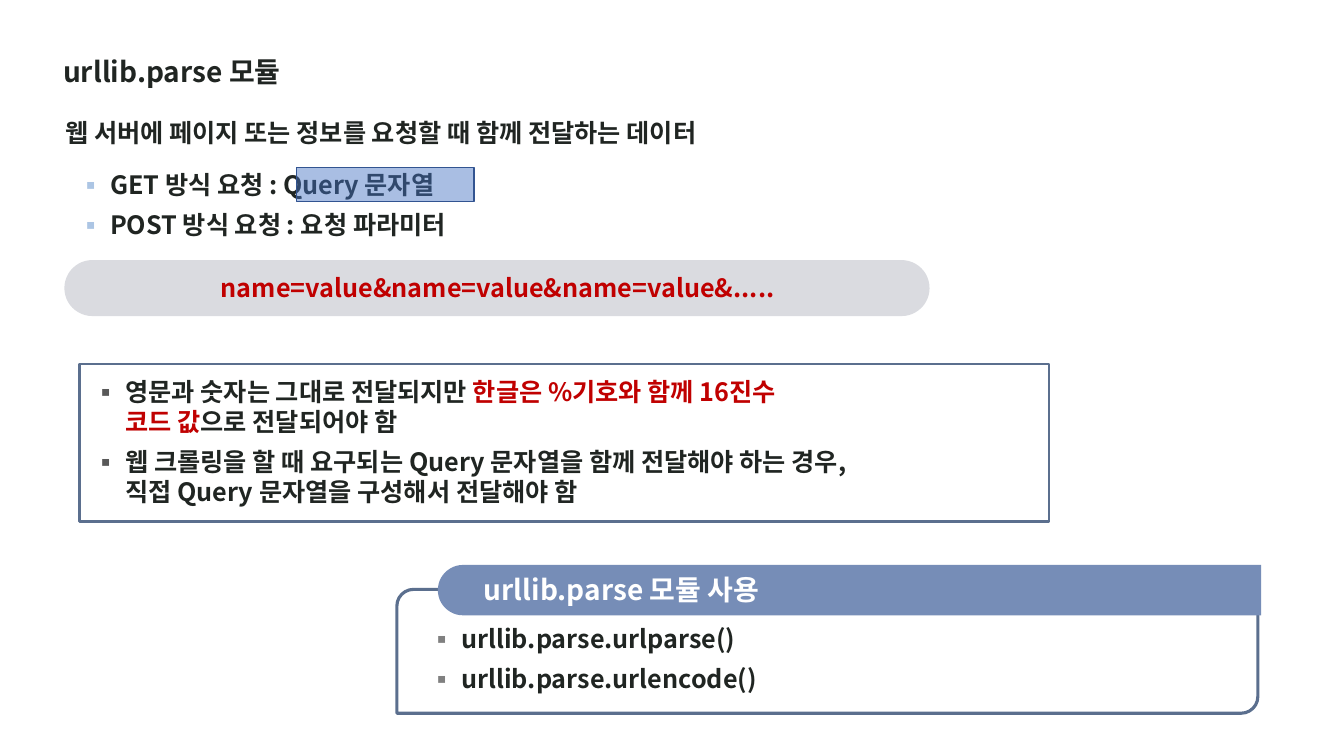
from dataclasses import dataclass

from lxml import etree
from pptx import Presentation
from pptx import util as u
from pptx.dml.color import RGBColor
from pptx.enum import shapes, text
from pptx.oxml import ns

FONT = "Noto Sans CJK KR"
INK, RED, WHITE, NAVY = "202522", "C00000", "FFFFFF", "5B6F8E"
Shape = shapes.MSO_SHAPE
Segment = tuple[str, str]


@dataclass
class Panel:
    kind: Shape
    left: float
    top: float
    width: float
    height: float
    fill: str
    line: str = ""
    weight: float = 0
    adjustments: tuple[float, ...] = ()
    rotation: float = 0
    opacity: int = 100


@dataclass
class Label:
    left: float
    top: float
    width: float
    height: float
    paragraphs: list[list[Segment]]
    size: float = 18
    bullet: str = ""
    align: text.PP_ALIGN = text.PP_ALIGN.LEFT


def color(value: str) -> RGBColor:
    return RGBColor.from_string(value)


def draw_panel(slide, panel: Panel) -> None:
    shape = slide.shapes.add_shape(panel.kind, u.Pt(panel.left), u.Pt(panel.top),
                                   u.Pt(panel.width), u.Pt(panel.height))
    shape.shadow.inherit = False
    shape.rotation = panel.rotation
    for index, value in enumerate(panel.adjustments):
        shape.adjustments[index] = value
    shape.fill.solid()
    shape.fill.fore_color.rgb = color(panel.fill)
    if panel.opacity < 100:
        fill = shape.element.spPr.find(ns.qn("a:solidFill"))
        etree.SubElement(fill[0], ns.qn("a:alpha"), val=str(panel.opacity * 1000))
    if panel.line:
        shape.line.color.rgb = color(panel.line)
        shape.line.width = u.Pt(panel.weight)
    else:
        shape.line.fill.background()


def add_bullet(paragraph, bullet_color: str) -> None:
    properties = paragraph._p.get_or_add_pPr()
    properties.set("marL", str(u.Pt(22.5)))
    properties.set("indent", str(u.Pt(-22.5)))
    holder = etree.SubElement(properties, ns.qn("a:buClr"))
    etree.SubElement(holder, ns.qn("a:srgbClr"), val=bullet_color)
    etree.SubElement(properties, ns.qn("a:buFont"), typeface=FONT)
    etree.SubElement(properties, ns.qn("a:buChar"), char="▪")


def set_font(paragraph, size: float, value: str) -> None:
    """Set the paragraph font for Latin and East Asian letters."""
    font = paragraph.font
    font.size, font.bold, font.name = u.Pt(size), True, FONT
    font.color.rgb = color(value)
    defaults = paragraph._p.pPr.find(ns.qn("a:defRPr"))
    etree.SubElement(defaults, ns.qn("a:ea"), typeface=FONT)


def draw_label(slide, label: Label) -> None:
    box = slide.shapes.add_textbox(u.Pt(label.left), u.Pt(label.top),
                                   u.Pt(label.width), u.Pt(label.height))
    frame = box.text_frame
    frame.word_wrap = True
    for index, segments in enumerate(label.paragraphs):
        paragraph = frame.add_paragraph() if index else frame.paragraphs[0]
        paragraph.alignment = label.align
        if index:
            paragraph.space_before = u.Pt(7)
        if label.bullet:
            add_bullet(paragraph, label.bullet)
        base = segments[0][1]
        set_font(paragraph, label.size, base)
        for words, value in segments:
            for line_number, line in enumerate(words.split("\n")):
                if line_number:
                    paragraph.add_line_break()
                run = paragraph.add_run()
                run.text = line
                if value != base:
                    run.font.color.rgb = color(value)


ITEMS: list[Panel | Label] = [
    Label(38, 35.5, 635, 31.5, [[("urllib.parse 모듈", INK)]], size=20),
    Label(39.5, 80.5, 598, 29,
          [[("웹 서버에 페이지 또는 정보를 요청할 때 함께 전달하는 데이터", INK)]]),
    Label(49, 117.5, 559.5, 57.5,
          [[("GET 방식 요청 : Query 문자열", INK)],
           [("POST 방식 요청 : 요청 파라미터", INK)]], bullet="ACC5E4"),
    Panel(Shape.ROUNDED_RECTANGLE, 46, 185.75, 618, 40, "DADBE0", adjustments=(0.5,)),
    Label(70, 191, 571, 29, [[("name=value&name=value&name=value&.....", RED)]],
          align=text.PP_ALIGN.CENTER),
    Panel(Shape.RECTANGLE, 56.75, 260, 692.75, 112.5, WHITE, NAVY, 1.5),
    Label(60, 265, 670, 101.5,
          [[("영문과 숫자는 그대로 전달되지만 ", INK),
            ("한글은 %기호와 함께 16진수 \n코드 값", RED),
            ("으로 전달되어야 함", INK)],
           [("웹 크롤링을 할 때 요구되는 Query 문자열을 함께 전달해야 하는 경우,\n"
             "직접 Query 문자열을 구성해서 전달해야 함", INK)]], bullet="595959"),
    Panel(Shape.ROUND_2_DIAG_RECTANGLE, 283.5, 421, 615, 88.5, WHITE, NAVY, 2.25,
          adjustments=(0.135, 0)),
    Panel(Shape.ROUND_2_SAME_RECTANGLE, 588.75, 127.5, 36, 588, "768DB7",
          adjustments=(0.5, 0), rotation=270),
    Label(338.5, 405.5, 551, 31.5, [[("urllib.parse 모듈 사용", WHITE)]], size=20),
    Label(300, 441.5, 589.5, 57.5,
          [[("urllib.parse.urlparse()", INK)],
           [("urllib.parse.urlencode()", INK)]], bullet="808080"),
    Panel(Shape.RECTANGLE, 211.75, 119.75, 126.75, 24, "4472C4", "325491", 1, opacity=46),
]


def main() -> None:
    presentation = Presentation()
    presentation.slide_width, presentation.slide_height = u.Pt(960), u.Pt(540)
    slide = presentation.slides.add_slide(presentation.slide_layouts[6])
    for item in ITEMS:
        if isinstance(item, Panel):
            draw_panel(slide, item)
        else:
            draw_label(slide, item)
    presentation.save("out.pptx")


if __name__ == "__main__":
    main()
